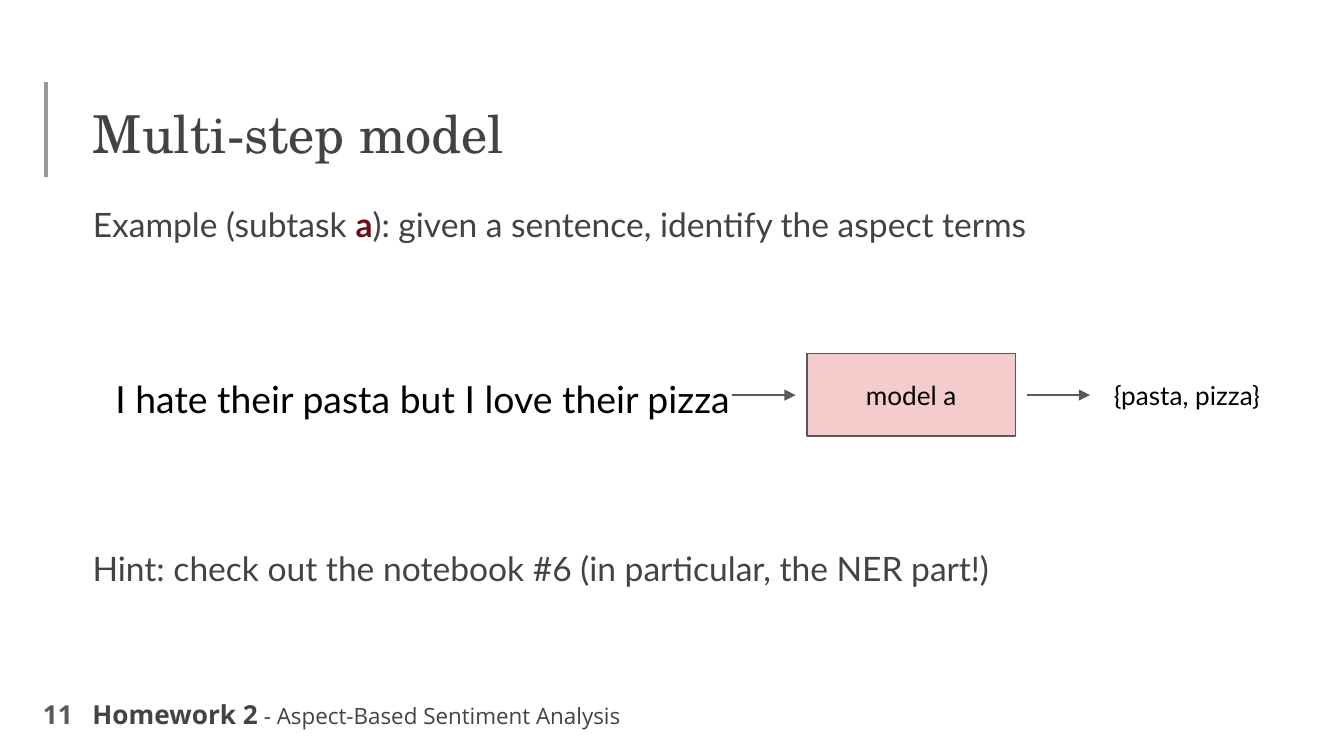
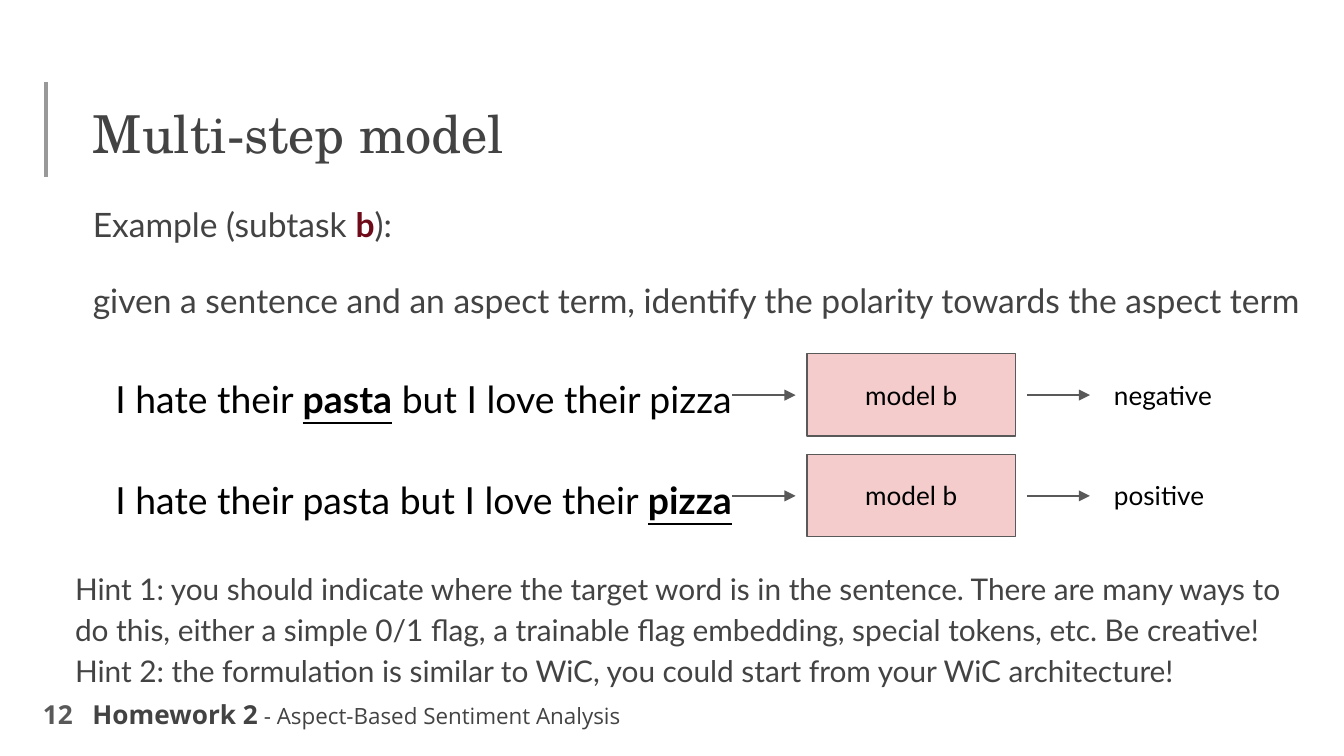
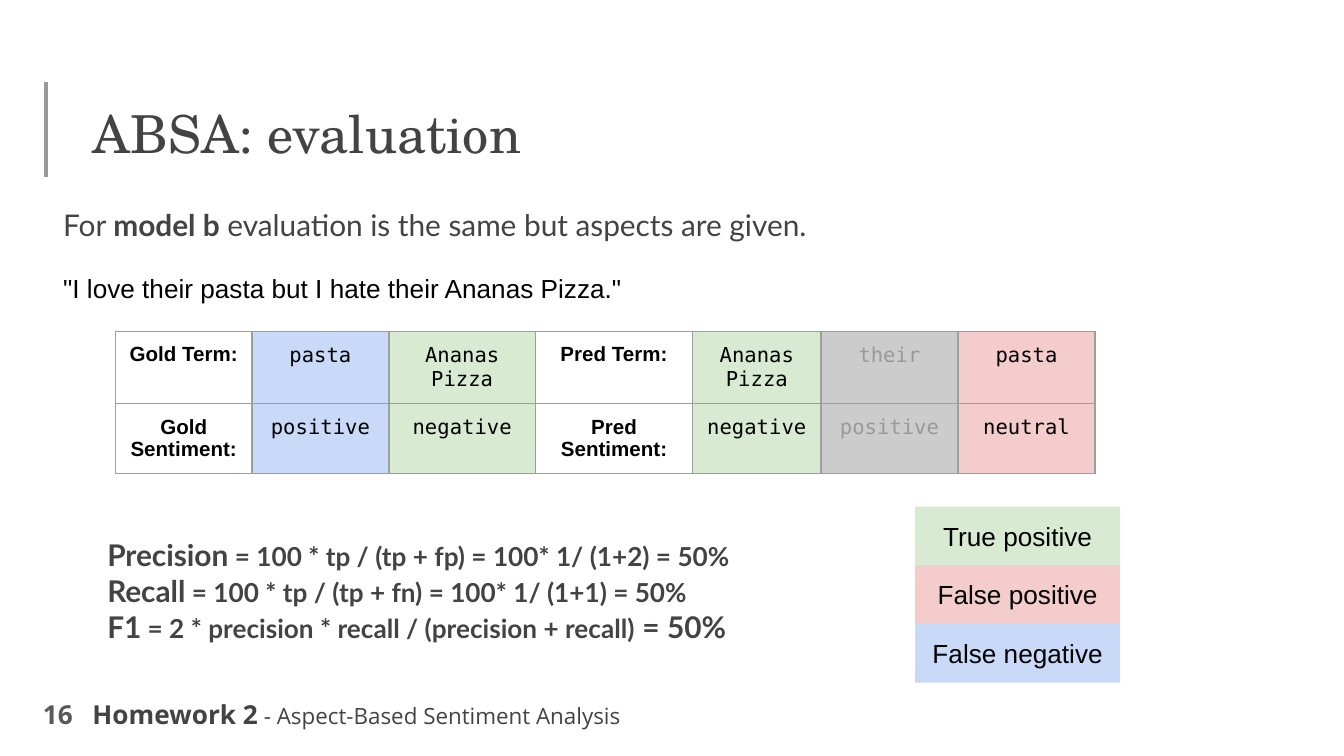
from dataclasses import dataclass, replace
from typing import Any, Optional

from pptx import Presentation
from pptx.dml.color import RGBColor
from pptx.enum.shapes import MSO_CONNECTOR, MSO_SHAPE
from pptx.enum.text import MSO_ANCHOR, MSO_AUTO_SIZE, PP_ALIGN
from pptx.oxml.ns import qn
from pptx.util import Pt
from lxml import etree

LEFT, CENTER, RIGHT = PP_ALIGN.LEFT, PP_ALIGN.CENTER, PP_ALIGN.RIGHT
TOP, MIDDLE = MSO_ANCHOR.TOP, MSO_ANCHOR.MIDDLE
FIXED, GROW = MSO_AUTO_SIZE.NONE, MSO_AUTO_SIZE.SHAPE_TO_FIT_TEXT
STRAIGHT, RECTANGLE = MSO_CONNECTOR.STRAIGHT, MSO_SHAPE.RECTANGLE

BLACK = RGBColor(0x00, 0x00, 0x00)
INK = RGBColor(0x43, 0x43, 0x43)
OUTLINE = RGBColor(0x59, 0x59, 0x59)
ACCENT = RGBColor(0x6F, 0x0A, 0x19)
MUTED = RGBColor(0x99, 0x99, 0x99)
GRID = RGBColor(0x9E, 0x9E, 0x9E)
GRAY = RGBColor(0xCC, 0xCC, 0xCC)
PINK = RGBColor(0xF4, 0xCC, 0xCC)
GREEN = RGBColor(0xD9, 0xEA, 0xD3)
BLUE = RGBColor(0xC9, 0xDA, 0xF8)

SERIF, LATO, OPEN = "TeX Gyre Schola", "Lato", "Open Sans"
ARIAL, MONO = "Arial", "DejaVu Sans Mono"

PX = 4572
SLIDE_WIDTH, SLIDE_HEIGHT = 2000, 1125
INSET = 20
ROW_STEP = 150
LEGEND_STEP = 87
FOOTER_TOP, FOOTER_HEIGHT = 1020, 86


def px(value: int) -> int:
    return value * PX


@dataclass(frozen=True)
class Box:
    left: int
    top: int
    width: int
    height: int

    def emu(self) -> list[int]:
        return [px(v) for v in (self.left, self.top, self.width, self.height)]

    def down(self, distance: int) -> "Box":
        return replace(self, top=self.top + distance)


@dataclass(frozen=True)
class Run:
    text: str
    size: int = 18
    color: RGBColor = INK
    font: str = LATO
    bold: bool = False
    underline: bool = False


@dataclass(frozen=True)
class Para:
    runs: list[Run]
    align: Any = LEFT
    spacing: float = 1.0
    before: int = 0
    after: int = 0
    indent: int = 0


@dataclass(frozen=True)
class Step:
    sentence: list[Run]
    model: str
    result: str


@dataclass(frozen=True)
class Entry:
    text: str
    fill: Optional[RGBColor] = None
    color: RGBColor = BLACK


def apply(target: Any, values: dict[str, Any]) -> None:
    for name, value in values.items():
        setattr(target, name, value)


def write(frame: Any, paras: list[Para]) -> None:
    for index, para in enumerate(paras):
        line = frame.paragraphs[0] if index == 0 else frame.add_paragraph()
        apply(line, {
            "alignment": para.align,
            "line_spacing": para.spacing,
            "space_before": Pt(para.before),
            "space_after": Pt(para.after),
        })
        properties = line._p.get_or_add_pPr()
        properties.set("marL", str(px(para.indent)))
        properties.set("indent", "0")
        etree.SubElement(properties, qn("a:buNone"))
        for run in para.runs:
            piece = line.add_run()
            piece.text = run.text
            apply(piece.font, {
                "name": run.font,
                "size": Pt(run.size),
                "bold": run.bold,
                "underline": run.underline,
            })
            piece.font.color.rgb = run.color


def fill_text(shape: Any, paras: list[Para], anchor: Any = TOP, fit: Any = FIXED) -> None:
    frame = shape.text_frame
    apply(frame, {
        "word_wrap": True,
        "auto_size": fit,
        "vertical_anchor": anchor,
        "margin_left": px(INSET),
        "margin_right": px(INSET),
        "margin_top": px(INSET),
        "margin_bottom": px(INSET),
    })
    write(frame, paras)


def add_text(slide: Any, box: Box, paras: list[Para], anchor: Any = TOP, fit: Any = FIXED) -> None:
    fill_text(slide.shapes.add_textbox(*box.emu()), paras, anchor, fit)


def place_text(placeholder: Any, box: Box, paras: list[Para]) -> None:
    apply(placeholder, dict(zip(("left", "top", "width", "height"), box.emu())))
    fill_text(placeholder, paras)


def add_rectangle(slide: Any, box: Box, fill: RGBColor, label: Run,
                  outline: Optional[RGBColor] = None, anchor: Any = TOP) -> None:
    shape = slide.shapes.add_shape(RECTANGLE, *box.emu())
    shape.shadow.inherit = False
    shape.fill.solid()
    shape.fill.fore_color.rgb = fill
    if outline is None:
        shape.line.fill.background()
    else:
        shape.line.color.rgb = outline
        shape.line.width = Pt(0.75)
    fill_text(shape, [Para([label], CENTER)], anchor)


def add_line(slide: Any, start: tuple[int, int], end: tuple[int, int],
             color: RGBColor, width: float, arrow: bool = False) -> None:
    line = slide.shapes.add_connector(STRAIGHT, *map(px, start + end))
    line.line.color.rgb = color
    line.line.width = Pt(width)
    if arrow:
        etree.SubElement(line.line._get_or_add_ln(), qn("a:tailEnd"), type="triangle")
    etree.SubElement(line._element.spPr, qn("a:effectLst"))


def add_page(deck: Any, number: int, title: str, body_box: Box, body: list[Para]) -> Any:
    slide = deck.slides.add_slide(deck.slide_layouts[1])
    place_text(slide.shapes.title, Box(118, 130, 1814, 126),
               [Para([Run(title, 28, font=SERIF)])])
    place_text(slide.placeholders[1], body_box, body)
    add_line(slide, (68, 122), (68, 264), MUTED, 2.25)
    add_text(slide, Box(8, FOOTER_TOP, 120, FOOTER_HEIGHT),
             [Para([Run(str(number), 14, OUTLINE, OPEN, True)], RIGHT)], MIDDLE)
    add_text(slide, Box(118, FOOTER_TOP, 1520, FOOTER_HEIGHT), [Para([
        Run("Homework 2", 14, font=OPEN, bold=True),
        Run(" - Aspect-Based Sentiment Analysis", 12, font=OPEN),
    ], after=16)])
    return slide


def add_steps(slide: Any, steps: list[Step]) -> None:
    for index, step in enumerate(steps):
        offset = index * ROW_STEP
        middle = 588 + offset
        add_text(slide, Box(152, 472, 976, 232).down(offset),
                 [Para(step.sentence, spacing=1.15)], MIDDLE)
        add_rectangle(slide, Box(1201, 526, 310, 123).down(offset), PINK,
                      Run(step.model, 14, BLACK), OUTLINE, MIDDLE)
        for start, end in ((1090, 1184), (1528, 1622)):
            add_line(slide, (start, middle), (end, middle), OUTLINE, 0.75, arrow=True)
        add_text(slide, Box(1638, 544, 286, 88).down(offset),
                 [Para([Run(step.result, 14, BLACK)])], fit=GROW)


def spoken(text: str, target: bool = False) -> Run:
    return Run(text, 20, BLACK, bold=target, underline=target)


def add_border(cell: Any) -> None:
    properties = cell._tc.get_or_add_tcPr()
    for side in ("a:lnL", "a:lnR", "a:lnT", "a:lnB"):
        edge = etree.SubElement(properties, qn(side), w=str(Pt(0.75)))
        paint = etree.SubElement(edge, qn("a:solidFill"))
        etree.SubElement(paint, qn("a:srgbClr"), val=str(GRID))


def add_scores(slide: Any, rows: list[list[Entry]]) -> None:
    widths = (203, 204, 218, 234, 191, 204, 204)
    heights = (107, 104)
    box = Box(172, 493, sum(widths), sum(heights))
    table = slide.shapes.add_table(len(rows), len(widths), *box.emu()).table
    apply(table, {"first_row": False, "horz_banding": False})
    for column, width in zip(table.columns, widths):
        column.width = px(width)
    for row, height, entries in zip(table.rows, heights, rows):
        row.height = px(height)
        for cell, entry in zip(row.cells, entries):
            apply(cell, {
                "margin_left": px(20),
                "margin_right": px(20),
                "margin_top": px(18),
                "margin_bottom": px(18),
            })
            add_border(cell)
            heading = entry.fill is None
            if heading:
                cell.fill.background()
            else:
                cell.fill.solid()
                cell.fill.fore_color.rgb = entry.fill
            font = ARIAL if heading else MONO
            write(cell.text_frame,
                  [Para([Run(entry.text, 11, entry.color, font, heading)], CENTER)])


def build_subtask_a(deck: Any) -> None:
    slide = add_page(deck, 11, "Multi-step model", Box(118, 274, 1778, 332), [Para([
        Run("Example (subtask "),
        Run("a", color=ACCENT, bold=True),
        Run("): given a sentence, identify the aspect terms"),
    ], spacing=1.15, after=16)])
    add_steps(slide, [
        Step([spoken("I hate their pasta but I love their pizza")], "model a", "{pasta, pizza}"),
    ])
    hint = Run("Hint: check out the notebook #6 (in particular, the NER part!)")
    add_text(slide, Box(118, 787, 1678, 100), [Para([hint], spacing=1.15, after=16)], fit=GROW)


def build_subtask_b(deck: Any) -> None:
    task = Run("given a sentence and an aspect term, identify the polarity towards the aspect term")
    slide = add_page(deck, 12, "Multi-step model", Box(118, 274, 1850, 232), [
        Para([Run("Example (subtask "), Run("b", color=ACCENT, bold=True), Run("):")],
             spacing=1.15),
        Para([task], spacing=1.15, before=16, after=16),
    ])
    add_steps(slide, [
        Step([spoken("I hate their "), spoken("pasta", True), spoken(" but I love their pizza")],
             "model b", "negative"),
        Step([spoken("I hate their pasta but I love their "), spoken("pizza", True)],
             "model b", "positive"),
    ])
    hints = (
        "Hint 1: you should indicate where the target word is in the sentence. "
        "There are many ways to do this, either a simple 0/1 flag, a trainable flag "
        "embedding, special tokens, etc. Be creative!",
        "Hint 2: the formulation is similar to WiC, you could start from your WiC architecture!",
    )
    add_text(slide, Box(92, 821, 1850, 218),
             [Para([Run(hint, 16)], spacing=1.15) for hint in hints], fit=GROW)


def build_evaluation(deck: Any) -> None:
    quote = Run('"I love their pasta but I hate their Ananas Pizza."', 14, BLACK, ARIAL)
    slide = add_page(deck, 16, "ABSA: evaluation", Box(74, 288, 1612, 140), [
        Para([Run("For ", 16), Run("model b", 16, bold=True),
              Run(" evaluation is the same but aspects are given.", 16)]),
        Para([quote], before=16),
    ])
    add_scores(slide, [
        [Entry("Gold Term:"), Entry("pasta", BLUE), Entry("Ananas Pizza", GREEN),
         Entry("Pred Term:"), Entry("Ananas Pizza", GREEN), Entry("their", GRAY, MUTED),
         Entry("pasta", PINK)],
        [Entry("Gold Sentiment:"), Entry("positive", BLUE), Entry("negative", GREEN),
         Entry("Pred Sentiment:"), Entry("negative", GREEN), Entry("positive", GRAY, MUTED),
         Entry("neutral", PINK)],
    ])
    formulas = (
        (("Precision", 16), (" = 100 * tp / (tp + fp) = 100* 1/ (1+2) = 50%", 14)),
        (("Recall", 16), (" = 100 * tp / (tp + fn) = 100* 1/ (1+1) = 50%", 14)),
        (("F1", 16), (" = 2 * precision * recall / (precision + recall)", 14), (" = 50%", 16)),
    )
    add_text(slide, Box(74, 779, 1640, 234), [
        Para([Run(text, size, bold=True) for text, size in formula], indent=66)
        for formula in formulas
    ])
    legend = (("True positive", GREEN), ("False positive", PINK), ("False negative", BLUE))
    key = Box(1362, 754, 305, 88)
    for index, (label, fill) in enumerate(legend):
        add_rectangle(slide, key.down(index * LEGEND_STEP), fill, Run(label, 14, BLACK, ARIAL))


def main() -> None:
    deck = Presentation()
    deck.slide_width, deck.slide_height = px(SLIDE_WIDTH), px(SLIDE_HEIGHT)
    build_subtask_a(deck)
    build_subtask_b(deck)
    build_evaluation(deck)
    deck.save("out.pptx")


if __name__ == "__main__":
    main()
